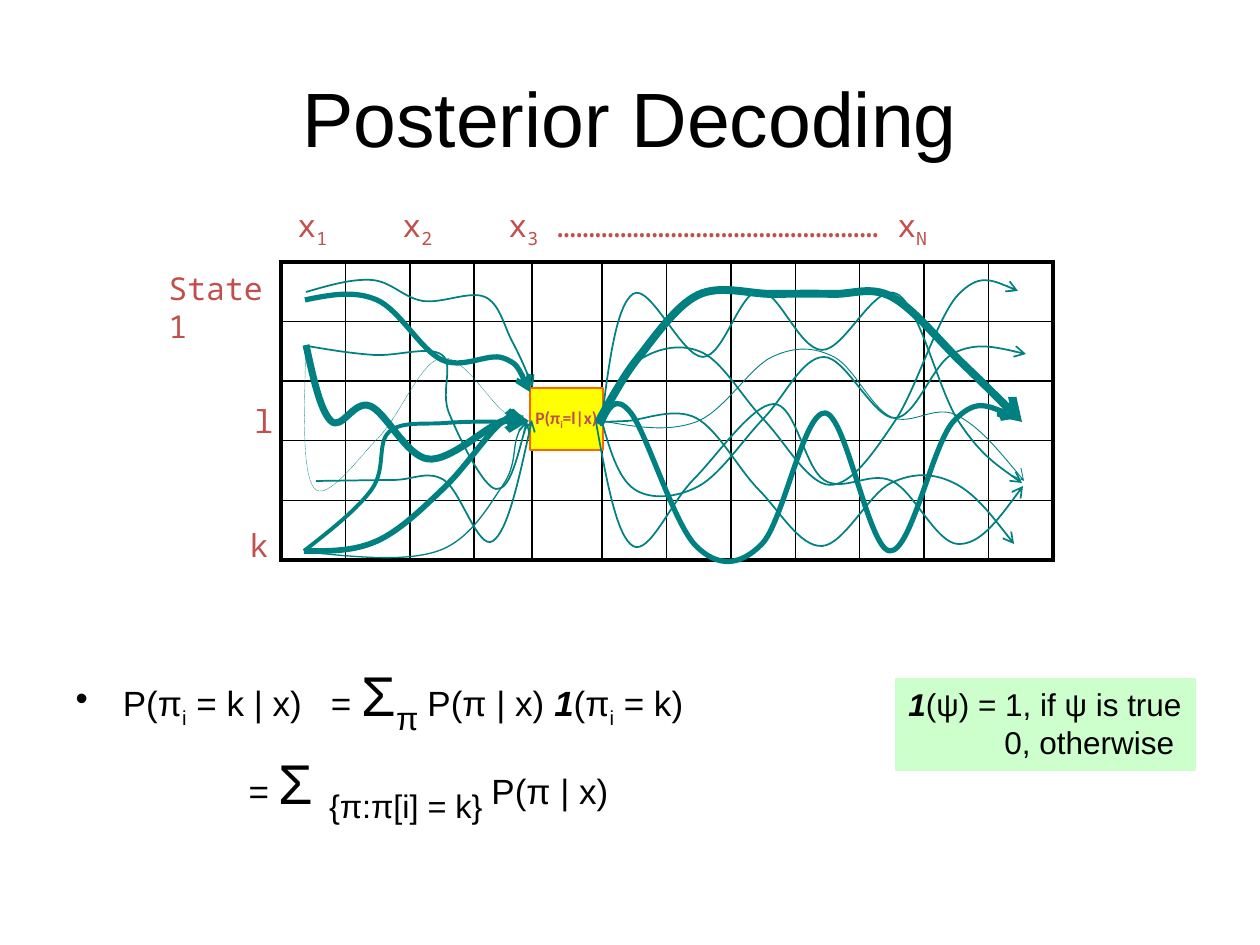
from lxml import etree
from pptx import Presentation
from pptx.dml.color import RGBColor
from pptx.enum.dml import MSO_LINE
from pptx.enum.shapes import MSO_SHAPE
from pptx.enum.text import MSO_ANCHOR, MSO_AUTO_SIZE, PP_ALIGN
from pptx.oxml.ns import qn
from pptx.util import Pt

PX = 914400 / 126
BLACK = RGBColor(0, 0, 0)
WHITE = RGBColor(255, 255, 255)
RED = RGBColor(0xC0, 0x50, 0x4D)
TEAL = RGBColor(0, 0x80, 0x80)
YELLOW = RGBColor(255, 255, 0)
ORANGE = RGBColor(255, 0x66, 0)
MINT = RGBColor(0xCC, 255, 0xCC)
SUB = -25000
MONO = "Noto Sans Mono"

# Trellis paths: line width in points, then the points each curve runs through
LEFT = [
    (3, [(305, 300), (377, 300), (442, 360), (503, 358), (530, 392)]),
    (4, [(306, 345), (331, 421), (370, 406), (428, 459), (501, 422), (529, 421)]),
    (1, [(306, 292), (372, 280), (423, 301), (485, 297), (512, 341), (533, 387)]),
    (0.25, [(306, 345), (314, 488), (379, 437), (441, 358), (504, 412), (524, 416)]),
    (2.25, [(304, 551), (372, 489), (389, 432), (445, 423), (523, 422)]),
    (3.25, [(304, 551), (377, 541), (444, 488), (501, 423), (527, 421)]),
    (0.75, [(306, 552), (438, 551), (503, 485), (517, 437), (527, 421)]),
    (1, [(316, 481), (393, 480), (444, 480), (493, 541), (532, 420)]),
    (1, [(307, 346), (374, 355), (442, 355), (449, 413), (496, 489), (527, 421)]),
]
RIGHT = [
    (0.5, [(602, 421), (696, 422), (772, 357), (834, 357), (891, 417), (956, 415),
           (1024, 481)]),
    (4.5, [(601, 420), (604, 412), (638, 358), (698, 295), (772, 294), (833, 294),
           (892, 297), (961, 362), (1022, 422)]),
    (1, [(601, 418), (634, 489), (699, 486), (764, 418), (824, 357), (895, 418),
         (954, 353), (1026, 354)]),
    (1, [(596, 422), (633, 546), (694, 479), (774, 404), (824, 480), (892, 481),
         (958, 544), (1023, 486)]),
    (1, [(601, 426), (633, 294), (703, 357), (759, 291), (822, 350), (897, 294),
         (959, 422), (1022, 483)]),
    (1, [(602, 422), (627, 421), (696, 418), (759, 490), (822, 546), (891, 483),
         (954, 483), (1014, 544)]),
    (1, [(596, 420), (641, 359), (703, 353), (764, 420), (830, 485), (895, 421),
         (958, 295), (1018, 291)]),
    (3, [(601, 425), (631, 413), (696, 546), (762, 544), (825, 413), (890, 551),
         (954, 421), (1018, 418)]),
]


def emu(*nums):
    return [round(n * PX) for n in nums]


def bend(knots):
    """Control points of a smooth curve through the knots, three per span."""
    last = len(knots) - 1

    def lean(i, sign):
        return [k + sign * (b - a) / 6
                for k, a, b in zip(knots[i], knots[i - 1], knots[i + 1])]

    def mid(p, q):
        return [(a + b) / 2 for a, b in zip(p, q)]

    out = []
    for i in range(last):
        one = lean(i, 1) if i else None
        two = lean(i + 1, -1) if i + 1 < last else mid(one, knots[last])
        out += [one or mid(knots[0], two), two, knots[i + 1]]
    return out


class Page:
    def __init__(self, slide, font, color):
        self.slide, self.font, self.color = slide, font, color

    def text(self, para, runs, size, font=None, color=None):
        """Each run is (words, options); options: size, base, bold, italic."""
        for words, opts in runs:
            run = para.add_run()
            run.text = words
            face = run.font
            face.name = font or self.font
            face.size = Pt(opts.get("size", size))
            face.color.rgb = color or self.color
            if "bold" in opts:
                face.bold = opts["bold"]
                face.italic = opts.get("italic", False)
            if "base" in opts:
                run._r.get_or_add_rPr().set("baseline", str(opts["base"]))

    def indent(self, para, left):
        props = para._p.get_or_add_pPr()
        props.set("marL", str(emu(left)[0]))
        props.set("indent", "0")
        return props

    def tabs(self, para, stops):
        group = etree.SubElement(para._p.get_or_add_pPr(), qn("a:tabLst"))
        for stop in stops:
            etree.SubElement(group, qn("a:tab"), pos=str(emu(stop)[0]), algn="l")

    def holder(self, index, box):
        shape = self.slide.placeholders[index]
        shape.left, shape.top, shape.width, shape.height = emu(*box)
        shape.text_frame.auto_size = MSO_AUTO_SIZE.NONE
        return shape.text_frame

    def label(self, box, runs):
        frame = self.slide.shapes.add_textbox(*emu(*box)).text_frame
        frame.word_wrap = True
        self.text(frame.paragraphs[0], runs, 18, MONO, RED)
        return frame.paragraphs[0]

    def rect(self, box, fill, line):
        shape = self.slide.shapes.add_shape(MSO_SHAPE.RECTANGLE, *emu(*box))
        shape.shadow.inherit = False
        shape.fill.solid()
        shape.fill.fore_color.rgb = fill
        shape.line.color.rgb = line
        shape.line.width = Pt(1)
        shape.text_frame.word_wrap = False
        return shape.text_frame

    def curve(self, width, knots):
        start = emu(*knots[0])
        pen = self.slide.shapes.build_freeform(*start)
        pen.add_line_segments([emu(*p) for p in bend(knots)], close=False)
        shape = pen.convert_to_shape()
        shape.shadow.inherit = False
        shape.fill.background()
        shape.line.color.rgb = TEAL
        shape.line.width = Pt(width)
        if width == 0.25:
            shape.line.dash_style = MSO_LINE.ROUND_DOT
        etree.SubElement(shape.line._get_or_add_ln(), qn("a:tailEnd"), type="arrow")
        # Turn every three straight segments into one cubic span
        track = shape._element.find(".//" + qn("a:path"))
        steps = track.findall(qn("a:lnTo"))
        for i in range(0, len(steps), 3):
            span = etree.SubElement(track, qn("a:cubicBezTo"))
            for step in steps[i:i + 3]:
                span.append(step[0])
                track.remove(step)

    def grid(self, box, rows, cols):
        table = self.slide.shapes.add_table(rows, len(cols), *emu(*box)).table
        table.first_row = table.horz_banding = False
        for col, width in zip(table.columns, cols):
            col.width = emu(width)[0]
        for r in range(rows):
            for c in range(len(cols)):
                cell = table.cell(r, c)
                edges = {"L": c == 0, "R": c == len(cols) - 1,
                         "T": r == 0, "B": r == rows - 1}
                for side, outer in edges.items():
                    line = etree.SubElement(cell._tc.get_or_add_tcPr(), qn("a:ln" + side),
                                            w=str(Pt(2.25 if outer else 1)))
                    fill = etree.SubElement(line, qn("a:solidFill"))
                    etree.SubElement(fill, qn("a:srgbClr"), val=str(BLACK))
                if c == 3:
                    cell.fill.solid()
                    cell.fill.fore_color.rgb = WHITE
                else:
                    cell.fill.background()


def main():
    deck = Presentation()
    deck.slide_width, deck.slide_height = emu(1260, 945)
    page = Page(deck.slides.add_slide(deck.slide_layouts[1]), "Arial", BLACK)
    low, big = {"base": SUB}, {"size": 32}
    strong = {"bold": True, "italic": True}

    # Title
    title = page.holder(0, (63, 38, 1134, 158))
    title.vertical_anchor = MSO_ANCHOR.MIDDLE
    title.paragraphs[0].alignment = PP_ALIGN.CENTER
    page.text(title.paragraphs[0], [("Posterior Decoding", {})], 44)

    # Formulas
    body = page.holder(1, (63, 654, 1155, 260))
    page.text(body.paragraphs[0], [
        ("P(π", {}), ("i", low), (" = k | x)   = ", {}), ("Σ", big),
        ("π ", {"size": 32, "base": SUB}), ("P(π | x) ", {}), ("1", strong),
        ("(π", {}), ("i", low), (" = k)", {})], 20)
    second = body.add_paragraph()
    etree.SubElement(page.indent(second, 173), qn("a:buNone"))
    page.text(second, [("= ", {}), ("Σ ", big),
                       ("{π:π[i] = k} ", {"size": 32, "base": SUB}),
                       ("P(π | x)", {})], 20)

    # State grid: equal columns but for the fourth and fifth
    cols = [(772 - 58 - 70) / 10] * 12
    cols[3:5] = 58, 70
    page.grid((281, 262, 772, 298), 5, cols)

    # Labels
    head = page.label((285, 200, 761, 50), [
        ("x", {}), ("1", low), ("\tx", {}), ("2", low), ("\tx", {}), ("3", low),
        (" …………………………………………… x", {}), ("N", low)])
    page.tabs(head, [105, 211])
    page.label((156, 263, 125, 50), [("State 1", {})])
    page.label((242, 396, 33, 50), [("l", {})])
    page.label((237, 520, 42, 50), [("k", {})])

    # Posterior cell
    cell = page.rect((530, 388, 73, 62), YELLOW, ORANGE)
    cell.vertical_anchor = MSO_ANCHOR.MIDDLE
    cell.paragraphs[0].alignment = PP_ALIGN.CENTER
    bold = {"bold": True}
    page.text(cell.paragraphs[0], [("P(π", bold), ("i", {**bold, **low}),
                                   ("=l|x)", bold)], 10, "Calibri", RED)

    # Paths into and out of the cell
    for width, knots in LEFT + RIGHT:
        page.curve(width, knots)

    # Indicator note
    note = page.rect((896, 679, 299, 91), MINT, MINT)
    note.vertical_anchor = MSO_ANCHOR.TOP
    note.paragraphs[0].alignment = PP_ALIGN.LEFT
    page.text(note.paragraphs[0], [("1", strong), ("(ψ) = 1, if ψ is true", {})], 18)
    other = note.add_paragraph()
    other.alignment = PP_ALIGN.LEFT
    page.indent(other, 96)
    page.text(other, [("0, otherwise", {})], 18)

    deck.save("out.pptx")


if __name__ == "__main__":
    main()
